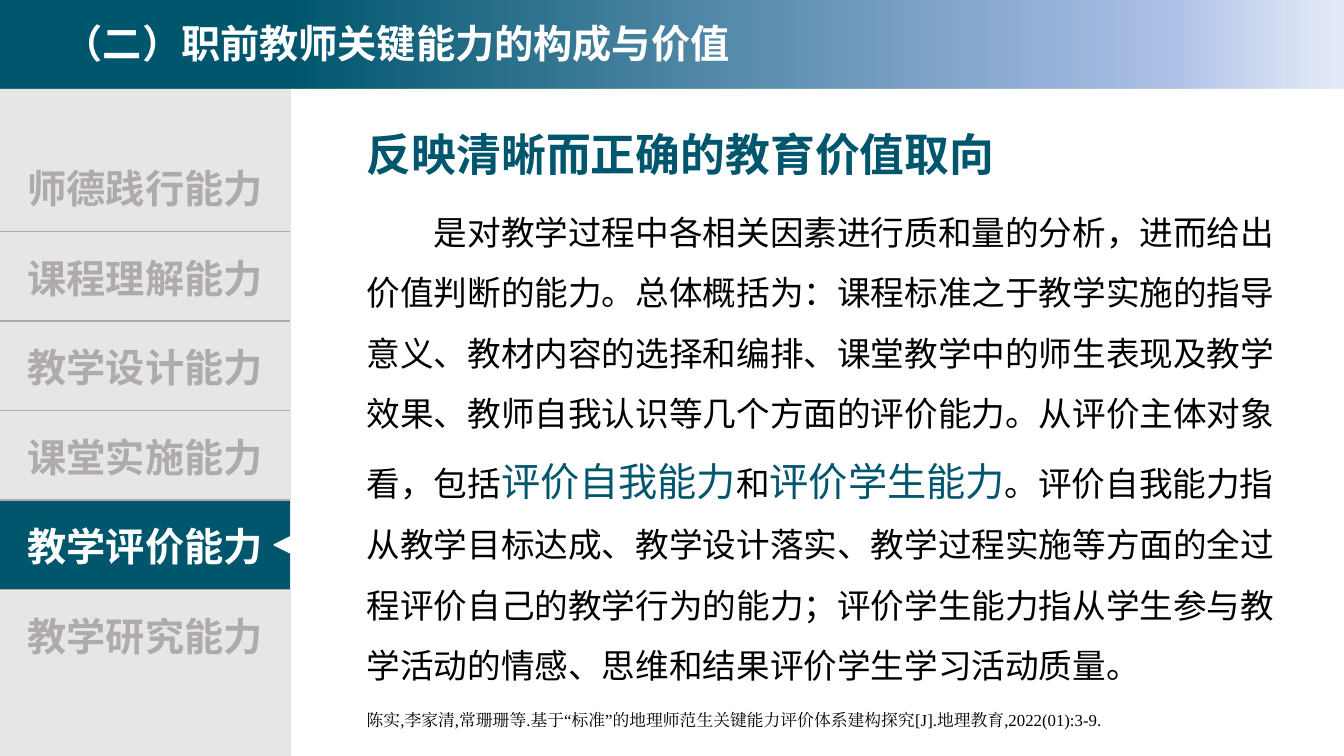
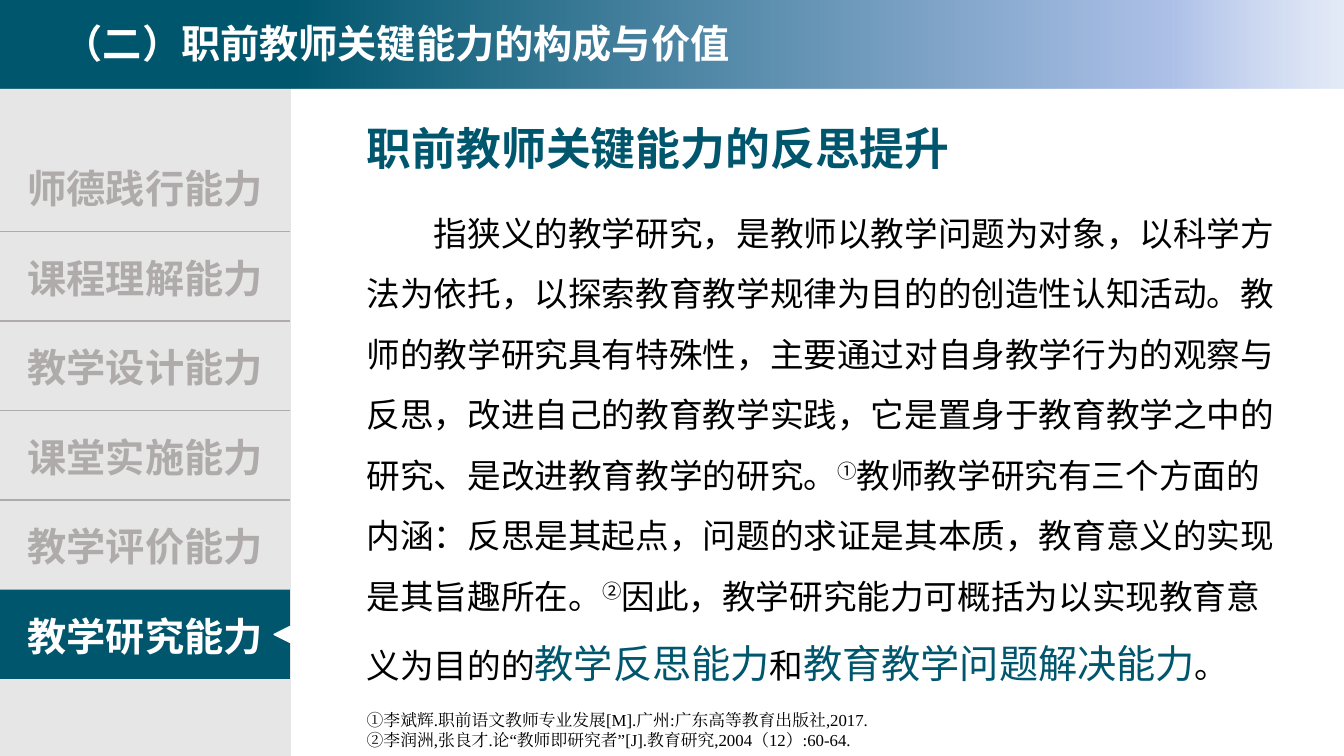
from lxml import etree
from pptx import Presentation
from pptx.dml.color import RGBColor
from pptx.enum.shapes import MSO_SHAPE
from pptx.enum.text import MSO_ANCHOR, PP_ALIGN
from pptx.oxml import parse_xml
from pptx.oxml.ns import qn
from pptx.util import Inches, Pt

RECTANGLE = MSO_SHAPE.RECTANGLE
TRIANGLE = MSO_SHAPE.ISOSCELES_TRIANGLE
MIDDLE = MSO_ANCHOR.MIDDLE
TOP = MSO_ANCHOR.TOP
CENTER = PP_ALIGN.CENTER
LEFT = PP_ALIGN.LEFT

# Shared style
TEAL, WHITE, BLACK = "00566D", "FFFFFF", "000000"
PANEL, MUTED = "E7E6E6", "AFABAB"
SANS, SERIF = "Noto Sans CJK SC", "Times New Roman"
BAND_STOPS = [(0, "DAE3F5", 70), (13, "ADC0E8", 100), (78, TEAL, 100)]
DRAWING = "http://schemas.openxmlformats.org/drawingml/2006/main"

# Shared layout, in hundredths of the slide's width and height
SIDEBAR_WIDTH = 21.6
MENU_TOP, MENU_ROW = 18.8, 11.84
MARKER_WIDTH, MARKER_HEIGHT = 1.2, 2.13
CONTENT_LEFT = 26.55

BAND_TITLE = "（二）职前教师关键能力的构成与价值"
MENU = ["师德践行能力", "课程理解能力", "教学设计能力",
        "课堂实施能力", "教学评价能力", "教学研究能力"]


def color(value):
    return RGBColor.from_string(value)


class Deck:
    """Holds the style and the current slide."""

    def __init__(self):
        self.presentation = Presentation()
        self.presentation.slide_width = Inches(13.33)
        self.presentation.slide_height = Inches(7.5)
        self.slide = None

    def add_slide(self):
        layout = self.presentation.slide_layouts[6]
        self.slide = self.presentation.slides.add_slide(layout)

    def x(self, columns):
        return int(self.presentation.slide_width * columns / 100)

    def y(self, rows):
        return int(self.presentation.slide_height * rows / 100)

    def box(self, left, top, width, height):
        return self.x(left), self.y(top), self.x(width), self.y(height)

    def run(self, paragraph, text, size, fill, font=SANS, bold=False, raised=False):
        run = paragraph.add_run()
        run.text = text
        run.font.size = Pt(size)
        run.font.name = font
        run.font.bold = bold
        run.font.color.rgb = color(fill)
        properties = run._r.get_or_add_rPr()
        etree.SubElement(properties, qn("a:ea")).set("typeface", font)
        if raised:
            properties.set("baseline", "30000")

    def shape(self, kind, area, fill):
        shape = self.slide.shapes.add_shape(kind, *self.box(*area))
        shape.shadow.inherit = False
        shape.fill.solid()
        shape.fill.fore_color.rgb = color(fill)
        shape.line.color.rgb = color(fill)
        shape.line.width = Pt(1)
        return shape

    def text(self, area):
        frame = self.slide.shapes.add_textbox(*self.box(*area)).text_frame
        frame.word_wrap = True
        return frame

    def band(self, title):
        band = self.shape(RECTANGLE, (0, -0.27, 100, 12), TEAL)
        band.line.fill.background()
        stops = "".join(
            f'<a:gs pos="{place * 1000}"><a:srgbClr val="{fill}">'
            f'<a:alpha val="{alpha * 1000}"/></a:srgbClr></a:gs>'
            for place, fill, alpha in BAND_STOPS)
        gradient = parse_xml(
            f'<a:gradFill xmlns:a="{DRAWING}" rotWithShape="1"><a:gsLst>{stops}'
            '</a:gsLst><a:lin ang="10800000" scaled="0"/></a:gradFill>')
        properties = band._element.spPr
        properties.replace(properties.find(qn("a:solidFill")), gradient)
        frame = band.text_frame
        frame.margin_left = self.x(4.75)
        frame.vertical_anchor = TOP
        paragraph = frame.paragraphs[0]
        paragraph.alignment = LEFT
        paragraph.line_spacing = 1.35
        self.run(paragraph, title, 28, WHITE, bold=True)

    def border(self, cell, side, fill):
        line = etree.SubElement(cell._tc.get_or_add_tcPr(), qn(f"a:{side}"))
        line.set("w", str(Pt(1)))
        if fill is None:
            etree.SubElement(line, qn("a:noFill"))
        else:
            solid = etree.SubElement(line, qn("a:solidFill"))
            etree.SubElement(solid, qn("a:srgbClr")).set("val", fill)

    def menu(self, active):
        area = (0, MENU_TOP, SIDEBAR_WIDTH, MENU_ROW * len(MENU))
        frame = self.slide.shapes.add_table(len(MENU), 1, *self.box(*area))
        table = frame.table
        table.first_row = table.horz_banding = False
        last = len(MENU) - 1
        for index, label in enumerate(MENU):
            cell = table.cell(index, 0)
            cell.vertical_anchor = MIDDLE
            # Borders precede the fill in a cell's properties
            self.border(cell, "lnL", None)
            self.border(cell, "lnR", None)
            self.border(cell, "lnT", MUTED if index > 0 else None)
            self.border(cell, "lnB", MUTED if index < last else None)
            cell.fill.solid()
            cell.fill.fore_color.rgb = color(TEAL if index == active else PANEL)
            paragraph = cell.text_frame.paragraphs[0]
            paragraph.alignment = CENTER
            self.run(paragraph, label, 28, WHITE if index == active else MUTED, bold=True)
        middle = MENU_TOP + MENU_ROW * (active + 0.5)
        marker = self.shape(TRIANGLE, (SIDEBAR_WIDTH - MARKER_WIDTH, middle - MARKER_HEIGHT / 2,
                                       MARKER_WIDTH, MARKER_HEIGHT), WHITE)
        marker.rotation = 270

    def heading(self, title, top):
        frame = self.text((CONTENT_LEFT, top, 68.85, 8.53))
        self.run(frame.paragraphs[0], title, 32, TEAL, bold=True)

    def body(self, parts, top):
        frame = self.text((CONTENT_LEFT, top, 70, 67.33))
        paragraph = frame.paragraphs[0]
        paragraph.line_spacing = 1.5
        paragraph._p.get_or_add_pPr().set("indent", str(self.x(5)))
        for kind, text in parts:
            key = kind == "key"
            self.run(paragraph, text, 28 if key else 24, TEAL if key else BLACK,
                     raised=kind == "note")

    def sources(self, lines):
        frame = self.text((CONTENT_LEFT, 93.2, 68.25, 1.33 + 2.67 * len(lines)))
        for index, line in enumerate(lines):
            paragraph = frame.add_paragraph() if index else frame.paragraphs[0]
            self.run(paragraph, line, 12, BLACK, font=SERIF)


# Content of the slides
SLIDES = [
    {
        "active": 4,
        "heading": ("反映清晰而正确的教育价值取向", 16.13),
        "body_top": 24.67,
        "body": [
            ("plain", "是对教学过程中各相关因素进行质和量的分析，进而给出价值判断的能力。"
                      "总体概括为：课程标准之于教学实施的指导意义、教材内容的选择和编排、"
                      "课堂教学中的师生表现及教学效果、教师自我认识等几个方面的评价能力。"
                      "从评价主体对象看，包括"),
            ("key", "评价自我能力"),
            ("plain", "和"),
            ("key", "评价学生能力"),
            ("plain", "。评价自我能力指从教学目标达成、教学设计落实、教学过程实施等方面的"
                      "全过程评价自己的教学行为的能力；评价学生能力指从学生参与教学活动的"
                      "情感、思维和结果评价学生学习活动质量。"),
        ],
        "sources": ["陈实,李家清,常珊珊等.基于“标准”的地理师范生关键能力评价体系建构探究"
                    "[J].地理教育,2022(01):3-9."],
    },
    {
        "active": 5,
        "heading": ("职前教师关键能力的反思提升", 15.33),
        "body_top": 24.8,
        "body": [
            ("plain", "指狭义的教学研究，是教师以教学问题为对象，以科学方法为依托，"
                      "以探索教育教学规律为目的的创造性认知活动。教师的教学研究具有特殊性，"
                      "主要通过对自身教学行为的观察与反思，改进自己的教育教学实践，"
                      "它是置身于教育教学之中的研究、是改进教育教学的研究。"),
            ("note", "①"),
            ("plain", "教师教学研究有三个方面的内涵：反思是其起点，问题的求证是其本质，"
                      "教育意义的实现是其旨趣所在。"),
            ("note", "②"),
            ("plain", "因此，教学研究能力可概括为以实现教育意义为目的的"),
            ("key", "教学反思能力"),
            ("plain", "和"),
            ("key", "教育教学问题解决能力"),
            ("plain", "。"),
        ],
        "sources": ["①李斌辉.职前语文教师专业发展[M].广州:广东高等教育出版社,2017.",
                    "②李润洲,张良才.论“教师即研究者”[J].教育研究,2004（12）:60-64."],
    },
]


def main():
    deck = Deck()
    for content in SLIDES:
        deck.add_slide()
        # Sidebar, title band and menu
        deck.shape(RECTANGLE, (0, 10.67, SIDEBAR_WIDTH, 89.33), PANEL)
        deck.band(BAND_TITLE)
        deck.menu(content["active"])
        # Content
        deck.heading(*content["heading"])
        deck.body(content["body"], content["body_top"])
        deck.sources(content["sources"])
    deck.presentation.save("out.pptx")


if __name__ == "__main__":
    main()
